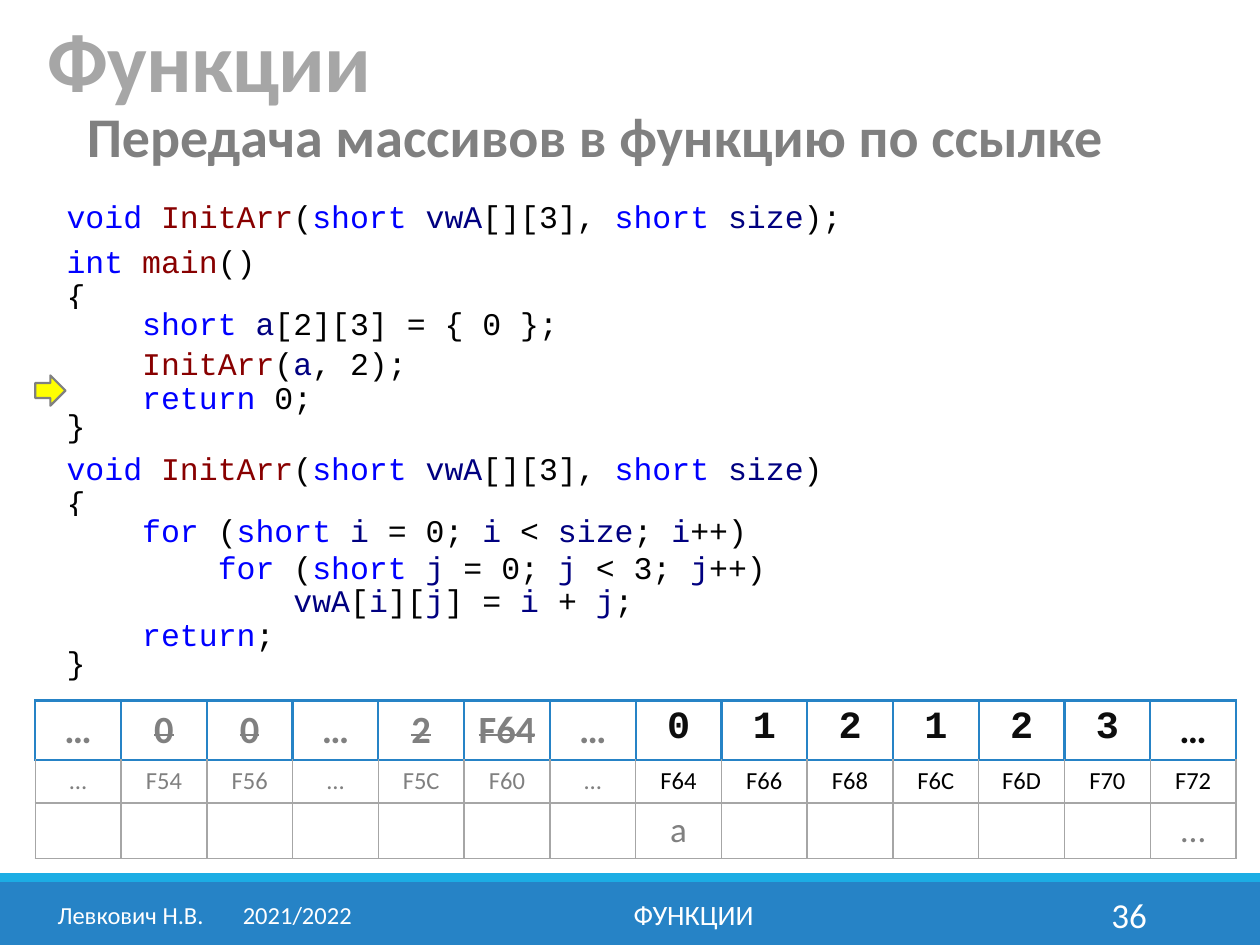
from itertools import groupby

from lxml import etree
from pptx import Presentation
from pptx import util as u
from pptx.dml.color import RGBColor
from pptx.enum import shapes, text
from pptx.oxml import ns

WIDTH, HEIGHT = 10, 7.5
COLORS = {
    "blue": "2683C6", "cyan": "1CADE4", "white": "FFFFFF", "black": "000000",
    "ink": "0D0D0D", "gray": "808080", "light": "A6A6A6", "yellow": "FFFF00",
    "keyword": "0000FF", "function": "880000", "variable": "000080",
}
SANS, MONO = "Calibri", "Courier New"
KEYWORDS = {"void", "short", "int", "return", "for"}
FUNCTIONS = {"InitArr", "main"}

# Code lines: line spacing, space before in points, text
CODE = [
    (0.9, 0, "void InitArr(short vwA[][3], short size);"),
    (0.9, 6, "int main()"),
    (0.9, 0, "{"),
    (0.7, 0, "    short a[2][3] = { 0 };"),
    (1.1, 0, "    InitArr(a, 2);"),
    (0.9, 0, "    return 0;"),
    (0.7, 0, "}"),
    (0.9, 6, "void InitArr(short vwA[][3], short size)"),
    (0.9, 0, "{"),
    (0.7, 0, "    for (short i = 0; i < size; i++)"),
    (1.0, 0, "        for (short j = 0; j < 3; j++)"),
    (0.9, 0, "            vwA[i][j] = i + j;"),
    (0.9, 0, "    return;"),
    (0.7, 0, "}"),
]

# Memory cells: value, address, variable name
MEMORY = [
    ("…", "…", ""), ("0", "F54", ""), ("0", "F56", ""), ("…", "…", ""),
    ("2", "F5C", ""), ("F64", "F60", ""), ("…", "…", ""),
    ("0", "F64", "a"), ("1", "F66", ""), ("2", "F68", ""), ("1", "F6C", ""),
    ("2", "F6D", ""), ("3", "F70", ""), ("…", "F72", "…"),
]
FREED = 7  # leading cells that are no longer in use
ROW_HEIGHTS = (0.47, 0.34, 0.44)


def rgb(name):
    return RGBColor.from_string(COLORS[name])


def add_element(parent, tag, **attributes):
    return etree.SubElement(parent, ns.qn(tag), attributes)


def add_span(para, words, size, color, font=SANS, bold=False, highlight=None):
    span = para.add_run()
    span.text = words
    span.font.size = u.Pt(size)
    span.font.bold = bold
    span.font.color.rgb = rgb(color)
    if highlight:
        mark = add_element(span.font._element, "a:highlight")
        add_element(mark, "a:srgbClr", val=COLORS[highlight])
    span.font.name = font
    return span


def add_tab(para, position):
    tabs = add_element(para._p.get_or_add_pPr(), "a:tabLst")
    add_element(tabs, "a:tab", pos=str(u.Inches(position)), algn="l")


def add_box(page, left, top, width, height, anchor="TOP", wrap=True):
    box = page.shapes.add_textbox(*map(u.Inches, (left, top, width, height)))
    box.text_frame.word_wrap = wrap
    box.text_frame.vertical_anchor = text.MSO_ANCHOR[anchor]
    return box.text_frame


def add_figure(page, kind, left, top, width, height, fill, line=None):
    figure = page.shapes.add_shape(
        shapes.MSO_SHAPE[kind], *map(u.Inches, (left, top, width, height)))
    figure.shadow.inherit = False
    figure.fill.solid()
    figure.fill.fore_color.rgb = rgb(fill)
    if line:
        figure.line.color.rgb = rgb(line)
        figure.line.width = u.Pt(1.25)
    else:
        figure.line.fill.background()


def set_title(page, words):
    title = page.shapes.title
    title.left, title.top = u.Inches(0.28), 0
    title.width, title.height = u.Inches(8.25), u.Inches(0.92)
    frame = title.text_frame
    frame.auto_size = text.MSO_AUTO_SIZE.NONE
    frame.vertical_anchor = text.MSO_ANCHOR.BOTTOM
    para = frame.paragraphs[0]
    para.alignment = text.PP_ALIGN.LEFT
    para.line_spacing = 0.85
    span = add_span(para, words, 48, "light", bold=True)
    span.font._element.set("spc", "-50")


def token_color(token):
    if not token.isalpha():
        return "black"
    if token in KEYWORDS:
        return "keyword"
    return "function" if token in FUNCTIONS else "variable"


def add_code(page):
    frame = add_box(page, 0.43, 1.55, 6.85, 3.9)
    for number, (spacing, before, line) in enumerate(CODE):
        para = frame.add_paragraph() if number else frame.paragraphs[0]
        para.line_spacing = spacing
        para.space_before = u.Pt(before)
        for _, letters in groupby(line, str.isalpha):
            token = "".join(letters)
            add_span(para, token, 18, token_color(token), MONO, highlight="white")


def set_borders(cell, color, width, top_color, top_width):
    for side in "LRTB":
        edge, points = (top_color, top_width) if side == "T" else (color, width)
        line = add_element(cell._tc.get_or_add_tcPr(), f"a:ln{side}",
                           w=str(u.Pt(points)))
        fill = add_element(line, "a:solidFill")
        add_element(fill, "a:srgbClr", val=COLORS[edge])


def cell_style(row, column, words):
    freed = column < FREED
    if row == 0:
        font = SANS if freed or words == "…" else MONO
        return dict(size=22, color="gray" if freed else "ink", font=font, bold=True)
    if row == 1:
        return dict(size=14, color="gray" if freed else "black")
    return dict(size=20, color="gray")


def add_memory(page):
    frame = page.shapes.add_table(
        len(ROW_HEIGHTS), len(MEMORY), u.Inches(0.28), u.Inches(5.56),
        u.Inches(9.53), u.Inches(sum(ROW_HEIGHTS)))
    table = frame.table
    table.first_row = table.horz_banding = False
    for row, height in enumerate(ROW_HEIGHTS):
        table.rows[row].height = u.Inches(height)
        edge = ("blue", 1.5) if row == 0 else ("light", 1)
        top = ("light", 1) if row == 2 else ("blue", 1.5)
        for column, entry in enumerate(MEMORY):
            cell, words = table.cell(row, column), entry[row]
            set_borders(cell, *edge, *top)
            cell.fill.solid()
            cell.fill.fore_color.rgb = rgb("white")
            cell.vertical_anchor = text.MSO_ANCHOR.MIDDLE if row else text.MSO_ANCHOR.TOP
            if not words:
                continue
            para = cell.text_frame.paragraphs[0]
            para.alignment = text.PP_ALIGN.CENTER
            span = add_span(para, words, **cell_style(row, column, words))
            if row == 0 and column < FREED and words != "…":
                span.font._element.set("strike", "sngStrike")


def add_footer(page, left, width, words, size, align="CENTER", tab=None):
    para = add_box(page, left, 7.06, width, 0.4, "MIDDLE").paragraphs[0]
    para.alignment = text.PP_ALIGN[align]
    if tab:
        add_tab(para, tab)
    add_span(para, words, size, "white")


def main():
    deck = Presentation()
    deck.slide_width, deck.slide_height = u.Inches(WIDTH), u.Inches(HEIGHT)
    page = deck.slides.add_slide(deck.slide_layouts[5])

    # Footer bars
    add_figure(page, "RECTANGLE", 0, 7, WIDTH, 0.5, "blue")
    add_figure(page, "RECTANGLE", 0, 6.93, WIDTH, 0.07, "cyan")

    # Memory table, then headings
    add_memory(page)
    subtitle = add_box(page, 0.59, 0.76, 8.35, 0.64, wrap=False).paragraphs[0]
    add_span(subtitle, "Передача массивов в функцию по ссылке", 32, "gray", bold=True)
    set_title(page, "Функции")

    # Code with the current-line marker
    add_code(page)
    add_figure(page, "RIGHT_ARROW", 0.28, 2.98, 0.24, 0.24, "yellow", "gray")

    # Footer text
    add_footer(page, 0.32, 2.61, "Левкович Н.В.\t2021/2022", 14, tab=1.47)
    add_footer(page, 3.02, 4.97, "ФУНКЦИИ", 16)
    add_footer(page, 8.12, 1.08, "36", 20, "RIGHT")

    deck.save("out.pptx")


if __name__ == "__main__":
    main()
